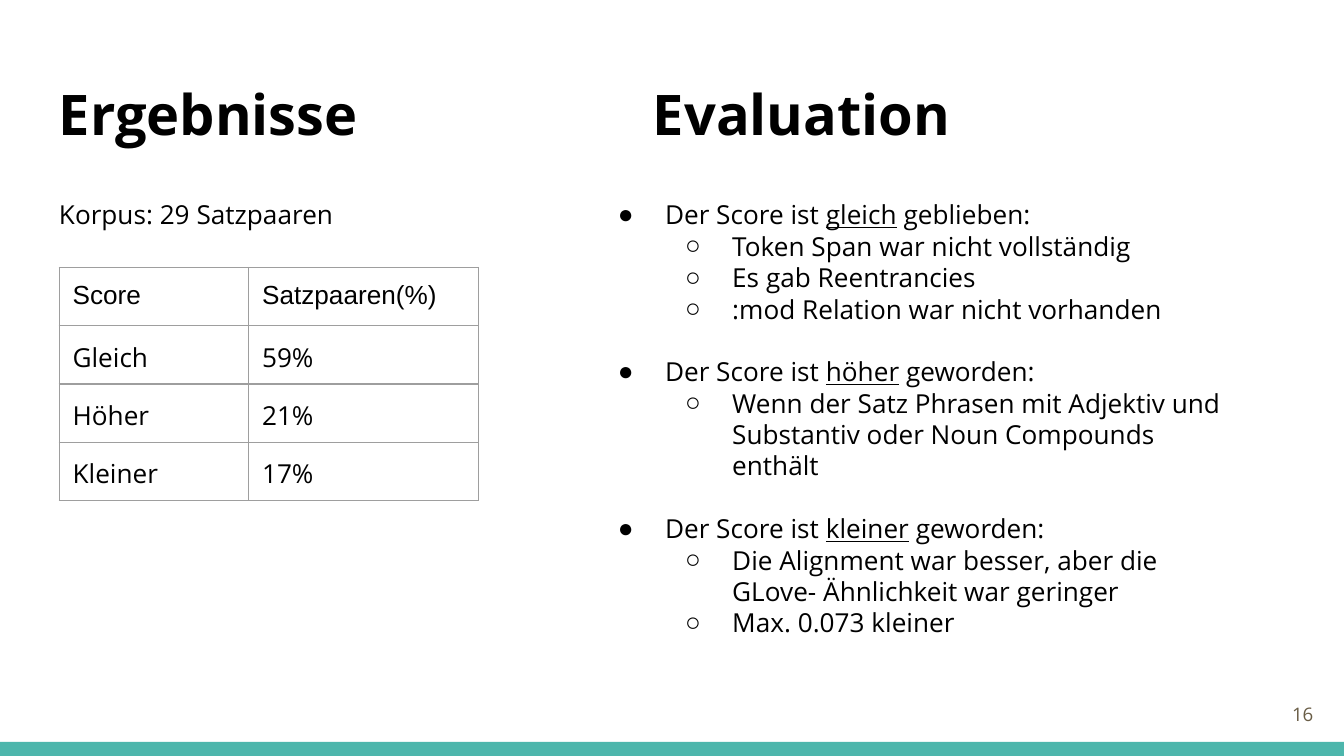
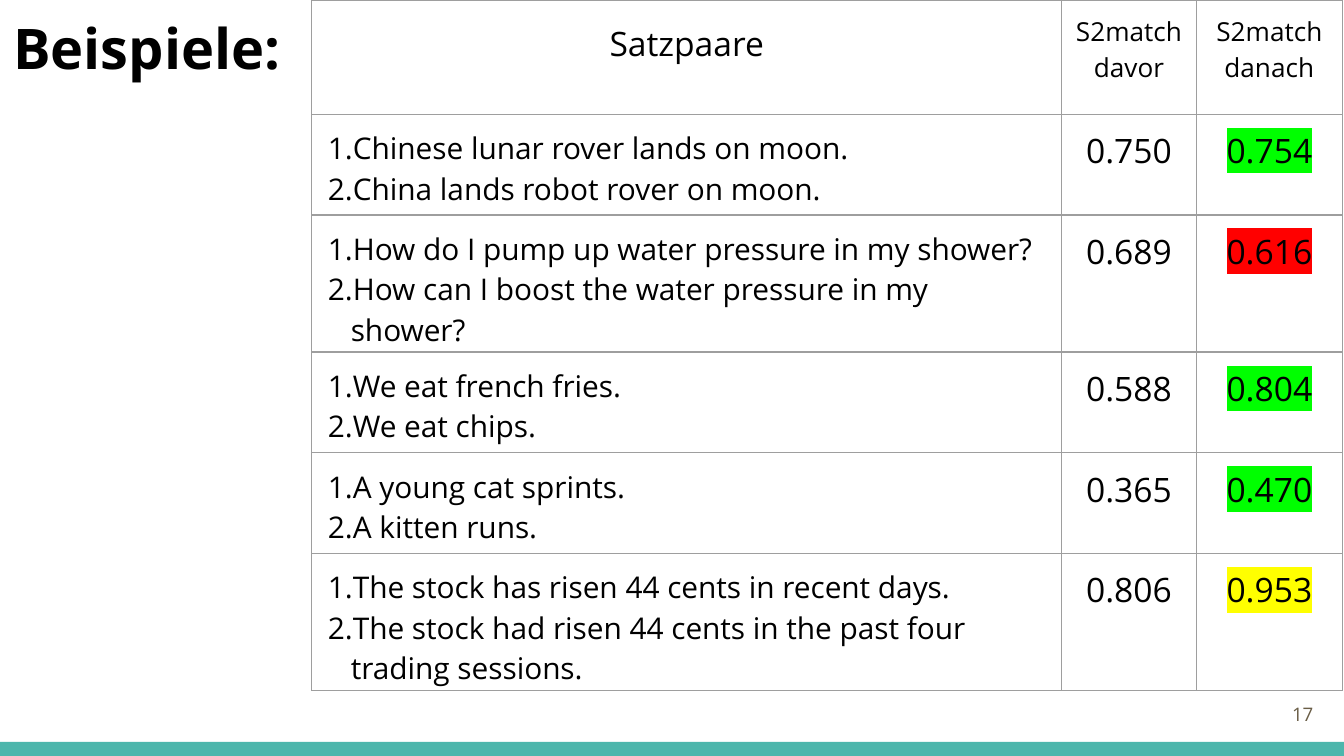
from lxml import etree
from pptx import Presentation
from pptx.dml.color import RGBColor
from pptx.enum import shapes, text
from pptx.oxml import ns
from pptx.util import Inches, Pt

COLORS = {"band": "4DB6AC", "ink": "000000", "number": "695D46", "grid": "9E9E9E",
          "better": "00FF00", "worse": "FF0000", "best": "FFFF00"}
FONT = "Open Sans"
LEFT, CENTER, RIGHT = text.PP_ALIGN.LEFT, text.PP_ALIGN.CENTER, text.PP_ALIGN.RIGHT


def style(para, size, color="ink", bold=False, align=LEFT, font=FONT, bullet=None):
    """Format all runs of a paragraph; bullet is (tag, attributes, font, margin, indent)."""
    para.alignment = align
    for span in para.runs:
        span.font.size = Pt(size)
        span.font.name = font
        span.font.bold = bold
        span.font.color.rgb = RGBColor.from_string(COLORS[color])
    if bullet:
        tag, attributes, bullet_font, margin, indent = bullet
        props = para._p.get_or_add_pPr()
        props.set("marL", str(Inches(margin)))
        props.set("indent", str(Inches(indent)))
        tint = etree.SubElement(props, ns.qn("a:buClr"))
        etree.SubElement(tint, ns.qn("a:srgbClr"), val=COLORS["ink"])
        etree.SubElement(props, ns.qn("a:buFont"), typeface=bullet_font)
        etree.SubElement(props, ns.qn(tag), **attributes)


def add_grid(page, left, top, widths, heights):
    """Add an unfilled table with thin grey borders."""
    frame = page.shapes.add_table(len(heights), len(widths), Inches(left), Inches(top),
                                  Inches(sum(widths)), Inches(sum(heights)))
    table = frame.table
    table.first_row = table.horz_banding = False
    for column, width in zip(table.columns, widths):
        column.width = Inches(width)
    for row, height in zip(table.rows, heights):
        row.height = Inches(height)
    for cell in table.iter_cells():
        cell.margin_left = cell.margin_right = Inches(0.1)
        cell.margin_top = cell.margin_bottom = Inches(0.1)
        props = cell._tc.get_or_add_tcPr()
        for side in ("a:lnL", "a:lnR", "a:lnT", "a:lnB"):
            line = etree.SubElement(props, ns.qn(side), w=str(Pt(0.75)))
            fill = etree.SubElement(line, ns.qn("a:solidFill"))
            etree.SubElement(fill, ns.qn("a:srgbClr"), val=COLORS["grid"])
        cell.fill.background()
    return table


deck = Presentation()
deck.slide_width = Inches(10)
deck.slide_height = deck.slide_width * 9 // 16
results, examples = [deck.slides.add_slide(deck.slide_layouts[6]) for _ in range(2)]

# Bottom band
for page in (results, examples):
    band = page.shapes.add_shape(shapes.MSO_SHAPE.RECTANGLE, 0, Inches(5.52),
                                 deck.slide_width, Inches(0.11))
    band.shadow.inherit = False
    band.fill.solid()
    band.fill.fore_color.rgb = RGBColor.from_string(COLORS["band"])
    band.line.fill.background()

# Examples table
WIDTHS, HEIGHTS = (5.58, 1, 1.09), (0.85, 0.75, 1.02, 0.75, 0.75, 1.02)
PAIRS = [
    ("Chinese lunar rover lands on moon.\nChina lands robot rover on moon.",
     "0.750", "0.754", "better"),
    ("How do I pump up water pressure in my shower?\n"
     "How can I boost the water pressure in my shower?", "0.689", "0.616", "worse"),
    ("We eat french fries.\nWe eat chips.", "0.588", "0.804", "better"),
    ("A young cat sprints.\nA kitten runs.", "0.365", "0.470", "better"),
    ("The stock has risen 44 cents in recent days.\n"
     "The stock had risen 44 cents in the past four trading sessions.",
     "0.806", "0.953", "best"),
]
NUMBERED = ("a:buAutoNum", {"type": "arabicPeriod"}, FONT, 0.19, -0.17)
table = add_grid(examples, 2.32, 0, WIDTHS, HEIGHTS)
headings = (("Satzpaare", 18), ("S2match davor", 14), ("S2match danach", 14))
for column, (heading, size) in enumerate(headings):
    frame = table.cell(0, column).text_frame
    frame.text = heading
    style(frame.paragraphs[0], size, align=CENTER)
table.cell(0, 0).text_frame.paragraphs[0].line_spacing = 1.15
for row, (sentences, before, after, verdict) in enumerate(PAIRS, start=1):
    frame = table.cell(row, 0).text_frame
    frame.text = sentences
    for para in frame.paragraphs:
        style(para, 16, bullet=NUMBERED)
    for column, score in ((1, before), (2, after)):
        para = table.cell(row, column).text_frame.paragraphs[0]
        para.text = score
        style(para, 18, align=CENTER)
    # Highlight follows the fill inside the run properties
    mark = etree.Element(ns.qn("a:highlight"))
    etree.SubElement(mark, ns.qn("a:srgbClr"), val=COLORS[verdict])
    para.runs[0].font._element.find(ns.qn("a:solidFill")).addnext(mark)

# Titles, corpus line and page numbers
TITLE = {"size": 30, "bold": True}
NUMBER = {"size": 10, "color": "number", "align": RIGHT}
LABELS = [
    (results, "Ergebnisse", (0.34, 0.49, 3.22, 0.77), TITLE),
    (results, "Evaluation", (4.76, 0.49, 3.22, 0.77), TITLE),
    (results, "Korpus: 29 Satzpaaren", (0.34, 1.38, 3.61, 0.44), {"size": 14}),
    (results, "16", (9.27, 5.1, 0.6, 0.43), NUMBER),
    (examples, "Beispiele:", (0, 0, 2.32, 0.85), TITLE),
    (examples, "17", (9.27, 5.1, 0.6, 0.43), NUMBER),
]
for page, label, place, look in LABELS:
    frame = page.shapes.add_textbox(*map(Inches, place)).text_frame
    frame.word_wrap = True
    frame.margin_left = frame.margin_right = Inches(0.1)
    frame.margin_top = frame.margin_bottom = Inches(0.1)
    if look is NUMBER:
        frame.vertical_anchor = text.MSO_ANCHOR.MIDDLE
    frame.text = label
    style(frame.paragraphs[0], **look)

# Results table
SHARES = [("Score", "Satzpaaren(%)"), ("Gleich", "59%"), ("Höher", "21%"), ("Kleiner", "17%")]
table = add_grid(results, 0.44, 1.99, (1.41, 1.71), [0.43] * len(SHARES))
for row, values in enumerate(SHARES):
    for column, value in enumerate(values):
        para = table.cell(row, column).text_frame.paragraphs[0]
        para.text = value
        style(para, 14, font=FONT if row else "Arial")

# Evaluation list
FINDINGS = [
    ("gleich", " geblieben:", ["Token Span war nicht vollständig", "Es gab Reentrancies",
                               ":mod Relation war nicht vorhanden"]),
    ("höher", " geworden:", ["Wenn der Satz Phrasen mit Adjektiv und Substantiv "
                             "oder Noun Compounds enthält"]),
    ("kleiner", " geworden:", ["Die Alignment war besser, aber die GLove- Ähnlichkeit "
                               "war geringer", "Max. 0.073 kleiner"]),
]
DOT = ("a:buChar", {"char": "●"}, "Arial", 0.5, -0.35)
RING = ("a:buChar", {"char": "○"}, "Arial", 1, -0.35)
box = results.shapes.add_textbox(Inches(4.35), Inches(1.38), Inches(5.03), Inches(3.4))
frame = box.text_frame
frame.word_wrap = True
frame.margin_left = frame.margin_right = Inches(0.1)
frame.margin_top = frame.margin_bottom = Inches(0.1)
for index, (change, ending, reasons) in enumerate(FINDINGS):
    para = frame.add_paragraph() if index else frame.paragraphs[0]
    for part in ("Der Score ist ", change, ending):
        span = para.add_run()
        span.text = part
        span.font.underline = part == change
    style(para, 14, bullet=DOT)
    if index:
        para.space_before = Pt(16.8)
    for reason in reasons:
        para = frame.add_paragraph()
        para.text = reason
        para.level = 1
        style(para, 14, bullet=RING)

deck.save("out.pptx")
